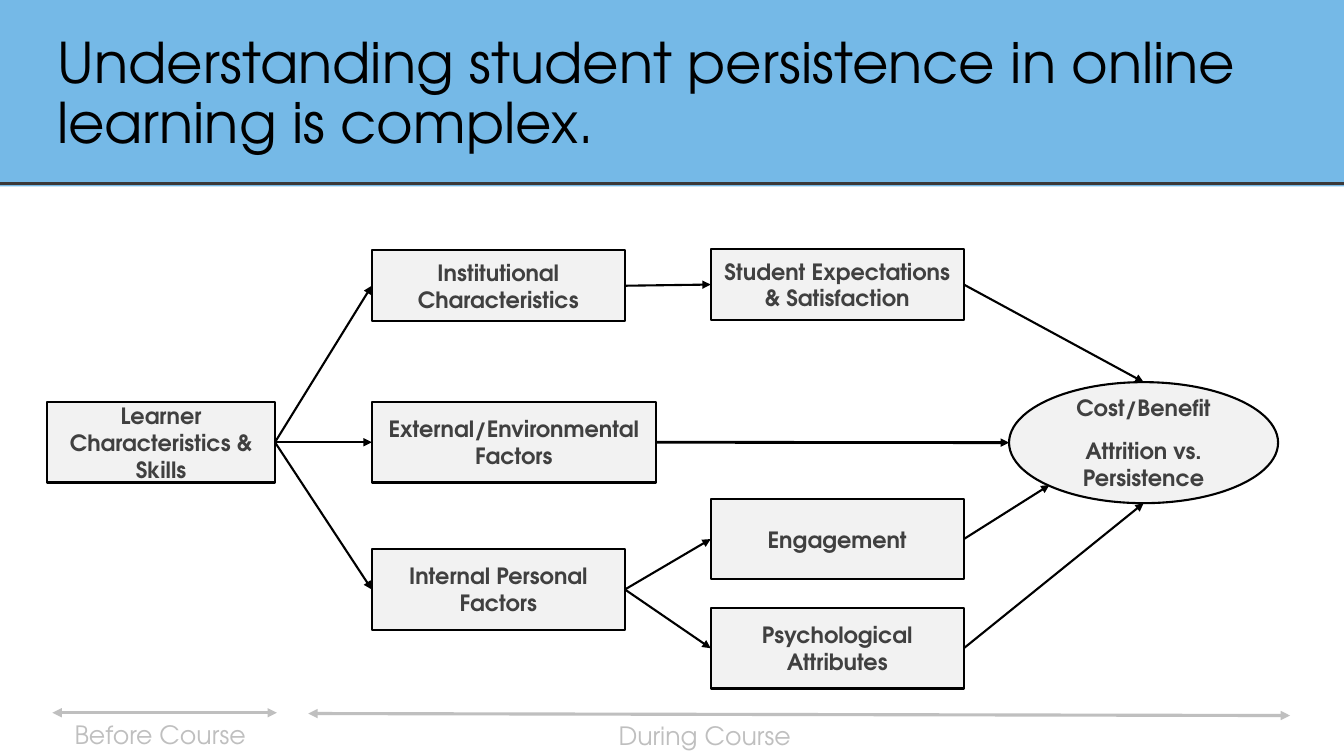
from lxml.etree import SubElement
from pptx import Presentation
from pptx.dml.color import RGBColor
from pptx.enum.shapes import MSO_CONNECTOR, MSO_SHAPE
from pptx.enum.text import MSO_ANCHOR, PP_ALIGN
from pptx.oxml.ns import qn
from pptx.util import Cm, Pt

FONT = "TeX Gyre Adventor"
SKY = RGBColor(0x75, 0xB9, 0xE7)
BLACK = RGBColor(0, 0, 0)
CHARCOAL = RGBColor(0x3B, 0x38, 0x38)
DARK_GRAY = RGBColor(0x40, 0x40, 0x40)
PALE_GRAY = RGBColor(0xF2, 0xF2, 0xF2)
SILVER = RGBColor(0xBF, 0xBF, 0xBF)
LEFT, RIGHT = 1, 3


def write(shape, *lines, size=16, color=DARK_GRAY, bold=False,
          align=PP_ALIGN.LEFT, anchor=MSO_ANCHOR.MIDDLE, spacing=None, gap=None):
    """Fill a shape with formatted paragraphs."""
    frame = shape.text_frame
    frame.word_wrap = True
    frame.vertical_anchor = anchor
    for index, line in enumerate(lines):
        paragraph = frame.add_paragraph() if index else frame.paragraphs[0]
        paragraph.text = line
        paragraph.alignment = align
        paragraph.line_spacing = spacing
        paragraph.space_after = gap
        if index:
            paragraph.space_before = gap
        font = paragraph.font
        font.name, font.size, font.bold = FONT, Pt(size), bold
        font.color.rgb = color


def draw_shape(slide, kind, left, top, width, height, fill, outline=None):
    """Draw a flat preset shape, measured in centimetres."""
    shape = slide.shapes.add_shape(kind, Cm(left), Cm(top), Cm(width), Cm(height))
    shape.shadow.inherit = False
    shape.fill.solid()
    shape.fill.fore_color.rgb = fill
    if outline is None:
        shape.line.fill.background()
    else:
        shape.line.color.rgb = outline
        shape.line.width = Pt(1.5)
    return shape


def draw_line(slide, start, end, color=BLACK, weight=1.5, heads=()):
    """Draw a straight line between two points, with optional arrowheads."""
    line = slide.shapes.add_connector(MSO_CONNECTOR.STRAIGHT, *start, *end)
    line.line.color.rgb = color
    line.line.width = Pt(weight)
    for head in heads:
        SubElement(line.line._get_or_add_ln(), qn(f"a:{head}"), type="triangle")
    SubElement(line._element.spPr, qn("a:effectLst"))
    return line


def point(shape, across, down):
    """Return the point at the given fractions of a shape's box."""
    return (shape.left + round(shape.width * across),
            shape.top + round(shape.height * down))


def add_header(slide, left, top, width, height):
    """Add the title band and the rule near its lower edge."""
    draw_shape(slide, MSO_SHAPE.RECTANGLE, left, top, width, height, SKY)
    title = slide.shapes.add_textbox(Cm(left + 1.19), Cm(top + 0.56),
                                     Cm(width - 2.44), Cm(height - 1.02))
    write(title, "Understanding student persistence in online learning is complex.",
          size=40, color=BLACK, spacing=0.9)
    rule = Cm(top + height - 0.08)
    draw_line(slide, (Cm(left), rule), (Cm(left + width), rule), CHARCOAL, 2.25)


def add_model(slide, left, top, width, height):
    """Add the factor boxes, the outcome ellipse and their arrows."""
    second, third = left + 8.18, left + 16.72
    narrow, low, tall = 6.38, 1.8, 2.03
    middle = top + 3.86

    def factor(text, x, y, box_width=narrow, box_height=tall):
        """Add one labelled factor box."""
        box = draw_shape(slide, MSO_SHAPE.RECTANGLE, x, y, box_width, box_height,
                         PALE_GRAY, BLACK)
        write(box, text, bold=True, align=PP_ALIGN.CENTER)
        return box

    expectations = factor("Student Expectations & Satisfaction", third, top, box_height=low)
    learner = factor("Learner Characteristics & Skills", left, middle, 5.74)
    institution = factor("Institutional Characteristics", second, top + 0.03, box_height=low)
    external = factor("External/Environmental Factors", second, middle, 7.16)
    internal = factor("Internal Personal Factors", second, top + 7.57)
    engagement = factor("Engagement", third, top + 6.3)
    psychological = factor("Psychological Attributes", third, top + height - tall)

    outcome = draw_shape(slide, MSO_SHAPE.OVAL, left + width - 6.78, top + 3.36,
                         6.78, 3.05, PALE_GRAY, BLACK)
    write(outcome, "Cost/Benefit", "Attrition vs. Persistence", bold=True,
          align=PP_ALIGN.CENTER, gap=Pt(6))

    for source, target, weight in [
        (learner, institution, 1.5), (learner, external, 1.75), (learner, internal, 1.5),
        (institution, expectations, 1.5),
        (internal, engagement, 1.5), (internal, psychological, 1.5),
    ]:
        arrow = draw_line(slide, point(source, 1, 0.5), point(target, 0, 0.5),
                          weight=weight, heads=["tailEnd"])
        arrow.begin_connect(source, RIGHT)
        arrow.end_connect(target, LEFT)

    for source, across, down, weight in [
        (expectations, 0.5, 0, 1.5), (external, 0, 0.5, 2),
        (engagement, 0.15, 0.85, 1.5), (psychological, 0.5, 1, 1.5),
    ]:
        arrow = draw_line(slide, point(source, 1, 0.5), point(outcome, across, down),
                          weight=weight, heads=["tailEnd"])
        arrow.begin_connect(source, RIGHT)


def add_timeline(slide, left, top, width):
    """Add the two course phases as labelled double arrows."""
    for phase, start, end, rise, fall, label in [
        ("Before Course", 0, 5.66, 0, 0, 0.31),
        ("During Course", 6.45, width, 0.02, 0.07, 14.02),
    ]:
        draw_line(slide, (Cm(left + start), Cm(top + rise)),
                  (Cm(left + end), Cm(top + fall)), SILVER, 2.25,
                  heads=["headEnd", "tailEnd"])
        caption = slide.shapes.add_textbox(Cm(left + label), Cm(top + 0.05 + rise),
                                           Cm(6.5), Cm(1.02))
        write(caption, phase, size=18, color=SILVER, anchor=MSO_ANCHOR.TOP)


def main():
    """Build and save the slide."""
    deck = Presentation()
    deck.slide_width, deck.slide_height = Cm(33.87), Cm(19.05)
    slide = deck.slides.add_slide(deck.slide_layouts[6])
    add_header(slide, 0, 0, 33.87, 4.7)
    add_model(slide, 1.19, 6.27, 31.02, 11.08)
    add_timeline(slide, 1.32, 17.96, 31.19)
    deck.save("out.pptx")


if __name__ == "__main__":
    main()
